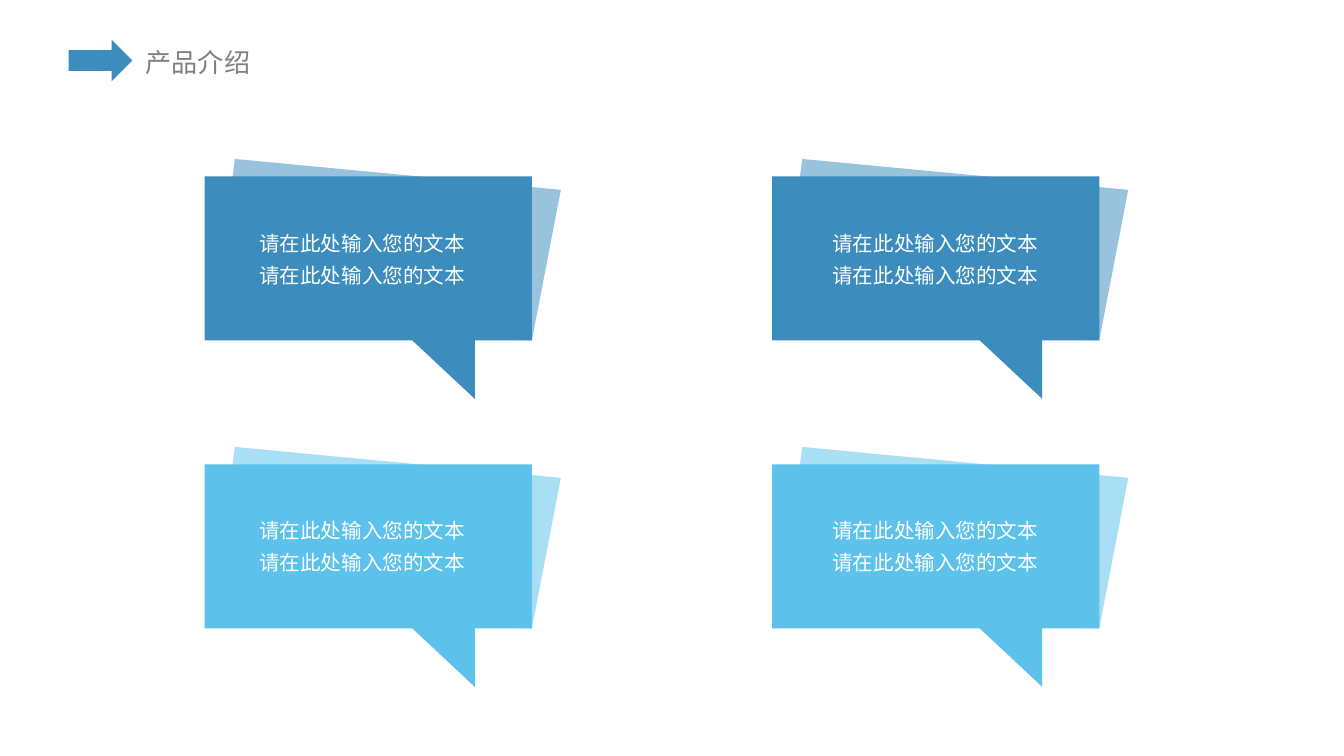
from itertools import product

from lxml import etree
from pptx import Presentation
from pptx.dml.color import RGBColor
from pptx.enum.shapes import MSO_SHAPE
from pptx.enum.text import MSO_AUTO_SIZE, PP_ALIGN
from pptx.oxml.ns import qn
from pptx.util import Inches, Pt

FONT = "Noto Sans CJK SC"
BLUE, SKY, GRAY, WHITE = "3C8DBE", "5CC2EB", "808080", "FFFFFF"

# Bubble outlines in grid units, measured from the front panel's top left corner
BACK_PANEL = [(26.5, 1), (2.25, -1.3), (0.65, 10.9), (16.1, 11.9),
              (20.1, 16.55), (19.8, 12.1), (24.35, 12.2)]
FRONT_PANEL = [(24.35, 0), (0, 0), (0, 12.2), (15.45, 12.2),
               (20.1, 16.55), (20.1, 12.2), (24.35, 12.2)]


def color(hex_string):
    return RGBColor.from_string(hex_string)


class SlideBuilder:
    """Places elements on a square grid, 100 columns across the slide."""

    def __init__(self, presentation):
        self.slide = presentation.slides.add_slide(presentation.slide_layouts[6])
        self.unit = presentation.slide_width / 100

    def grid(self, *lengths):
        return [round(length * self.unit) for length in lengths]

    def paint(self, shape, fill, opacity=100):
        shape.shadow.inherit = False
        shape.line.fill.background()
        shape.fill.solid()
        shape.fill.fore_color.rgb = color(fill)
        if opacity < 100:
            tint = shape.fill._xPr.find(".//" + qn("a:srgbClr"))
            etree.SubElement(tint, qn("a:alpha"), val=str(opacity * 1000))

    def arrow(self, box, fill):
        shape = self.slide.shapes.add_shape(MSO_SHAPE.RIGHT_ARROW, *self.grid(*box))
        self.paint(shape, fill)

    def panel(self, group, left, top, outline, fill, opacity=100):
        points = [self.grid(left + x, top + y) for x, y in outline]
        builder = group.shapes.build_freeform(*points[0])
        builder.add_line_segments(points[1:], close=True)
        self.paint(builder.convert_to_shape(), fill, opacity)

    def bubble(self, left, top, fill):
        group = self.slide.shapes.add_group_shape()
        self.panel(group, left, top, BACK_PANEL, fill, opacity=52)
        self.panel(group, left, top, FRONT_PANEL, fill)

    def text(self, box, lines, size, ink, wrap=True, align=PP_ALIGN.LEFT, spacing=1.0):
        text_frame = self.slide.shapes.add_textbox(*self.grid(*box)).text_frame
        text_frame.word_wrap = wrap
        text_frame.auto_size = MSO_AUTO_SIZE.SHAPE_TO_FIT_TEXT
        text_frame.text = "\n".join(lines)
        for paragraph in text_frame.paragraphs:
            paragraph.alignment = align
            paragraph.line_spacing = spacing
            for run in paragraph.runs:
                run.font.size = Pt(size)
                run.font.color.rgb = color(ink)
                run.font.name = FONT
                # East Asian characters take their own typeface setting
                etree.SubElement(run.font._element, qn("a:ea"), typeface=FONT)


def main():
    presentation = Presentation()
    presentation.slide_width = Inches(10)
    presentation.slide_height = presentation.slide_width * 9 // 16
    page = SlideBuilder(presentation)

    # Header
    page.text((9.85, 2.95, 10, 3.4), ["产品介绍"], 14, GRAY, wrap=False)
    page.arrow((5.1, 2.95, 4.75, 3.1), BLUE)

    # Two by two speech bubbles, one colour per row
    for (row, fill), column in product(enumerate([BLUE, SKY]), range(2)):
        page.bubble(15.23 + 42.22 * column, 13.13 + 21.43 * row, fill)
        page.text((16 + 42.65 * column, 16.13 + 21.37 * row, 21.9, 5.8),
                  ["请在此处输入您的文本"] * 2, 11, WHITE,
                  align=PP_ALIGN.CENTER, spacing=1.3)

    presentation.save("out.pptx")


if __name__ == "__main__":
    main()
